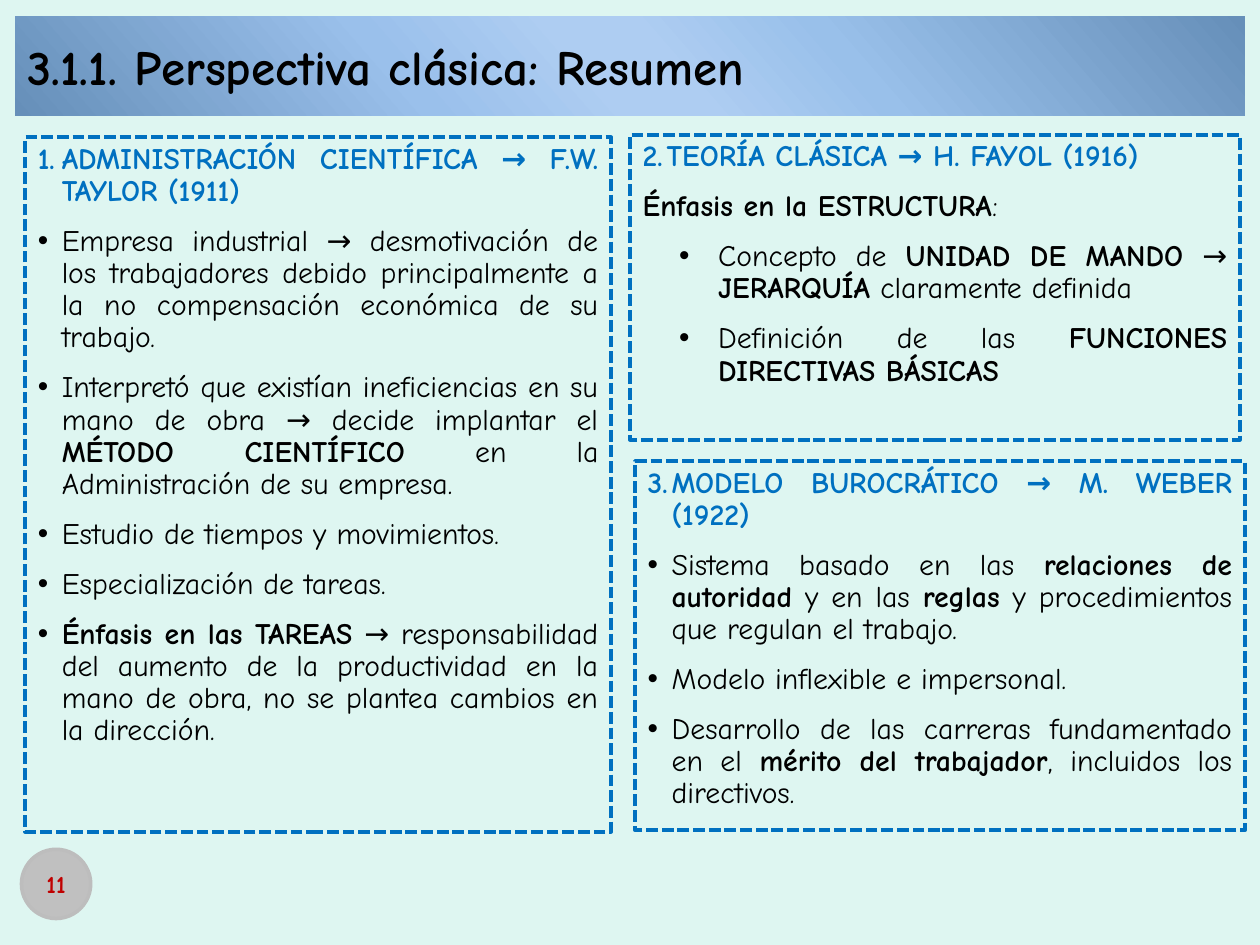
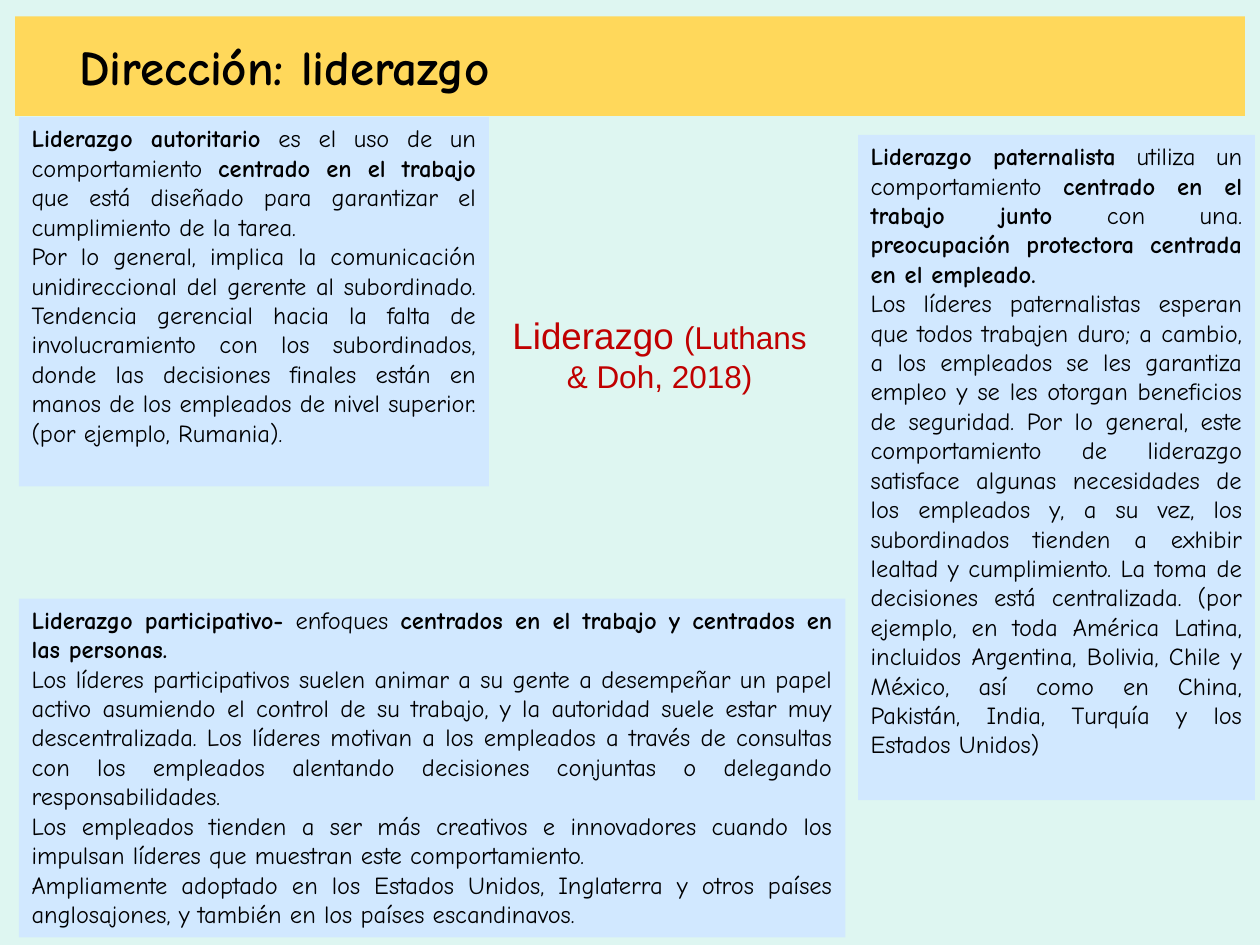
from lxml import etree
from pptx import Presentation
from pptx.dml.color import RGBColor
from pptx.enum.dml import MSO_LINE as Dash
from pptx.enum.shapes import MSO_SHAPE as Preset
from pptx.enum.text import MSO_ANCHOR as Anchor, MSO_AUTO_SIZE as AutoSize, PP_ALIGN as Align
from pptx.oxml.ns import qn
from pptx.util import Inches, Pt

COLORS = {
    "page": "DEF6F1",
    "ink": "000000",
    "blue": "0070C0",
    "red": "C00000",
    "card": "D1E8FF",
    "gold": "FFD85B",
    "badge": "C0C0C0",
    "badge_edge": "BDBDBD",
}
STEEL_STOPS = [(0, "668FB9"), (33, "99C0EA"), (47, "AECDF2"),
               (53, "AECDF2"), (68, "9AC0EB"), (100, "668FB9")]
STEEL_ANGLE = 139
COMPARISON_LAYOUT = 4


def rgb(name):
    return RGBColor.from_string(COLORS[name])


def write(frame, text, size=14, color="ink", font="Comic Neue", bold=False, align=Align.JUSTIFY,
          indent=0, hanging=0, leading=1.0, gap=0, bullet=None, number=None, join=False):
    paragraph = frame.paragraphs[-1]
    if not join:
        first = not paragraph.runs
        if not first:
            paragraph = frame.add_paragraph()
        paragraph.alignment = align
        paragraph.line_spacing = leading
        paragraph.space_before = Pt(0 if first else gap)
        paragraph.space_after = Pt(gap)
        properties = paragraph._p.get_or_add_pPr()
        properties.set("marL", str(Inches(indent)))
        properties.set("indent", str(Inches(-hanging)))
        if number:
            etree.SubElement(properties, qn("a:buFont"), typeface="+mj-lt")
            etree.SubElement(properties, qn("a:buAutoNum"), type="arabicPeriod", startAt=str(number))
        elif bullet:
            etree.SubElement(properties, qn("a:buFont"), typeface="Arial")
            etree.SubElement(properties, qn("a:buChar"), char=bullet)
        else:
            etree.SubElement(properties, qn("a:buNone"))
    for position, part in enumerate(text.split("**")):
        if part:
            run = paragraph.add_run()
            run.text = part
            run.font.name = font
            run.font.size = Pt(size)
            run.font.bold = bold or position % 2 == 1
            run.font.color.rgb = rgb(color)


class Deck:
    def __init__(self):
        self.presentation = Presentation()
        self.presentation.slide_width = Inches(10)
        self.presentation.slide_height = Inches(7.5)
        background = self.presentation.slide_master.background.fill
        background.solid()
        background.fore_color.rgb = rgb("page")

    def start(self, heading, band=None, inset=0.1):
        layout = self.presentation.slide_layouts[COMPARISON_LAYOUT]
        self.slide = self.presentation.slides.add_slide(layout)
        self.bodies = [holder for holder in self.slide.placeholders
                       if holder.placeholder_format.idx > 0]
        title = self.slide.shapes.title
        frame = self.place(title, (0.12, 0.13, 9.76, 0.79), Anchor.MIDDLE)
        frame.margin_left = Inches(inset)
        if band:
            title.fill.solid()
            title.fill.fore_color.rgb = rgb(band)
        else:
            self.steel(title)
        write(frame, heading, size=28, bold=True, align=Align.LEFT)

    def place(self, shape, box, anchor=Anchor.TOP):
        shape.left, shape.top, shape.width, shape.height = map(Inches, box)
        frame = shape.text_frame
        frame.word_wrap = True
        frame.auto_size = AutoSize.NONE
        frame.vertical_anchor = anchor
        return frame

    def steel(self, shape):
        shape.fill.gradient()
        gradient = shape._element.spPr.find(qn("a:gradFill"))
        for child in list(gradient):
            gradient.remove(child)
        stops = etree.SubElement(gradient, qn("a:gsLst"))
        for percent, value in STEEL_STOPS:
            stop = etree.SubElement(stops, qn("a:gs"), pos=str(percent * 1000))
            etree.SubElement(stop, qn("a:srgbClr"), val=value)
        etree.SubElement(gradient, qn("a:lin"), ang=str(STEEL_ANGLE * 60000), scaled="0")

    def theory(self, box, number, heading, points):
        panel = self.bodies.pop(0)
        frame = self.place(panel, box)
        panel.line.color.rgb = rgb("blue")
        panel.line.width = Pt(2.25)
        panel.line.dash_style = Dash.SQUARE_DOT
        common = dict(size=17, leading=0.9, gap=5.1)
        outline = dict(indent=0.19, hanging=0.19)
        write(frame, heading, color="blue", bold=True, number=number, **outline, **common)
        for text, layout in points:
            write(frame, text, **(outline | {"bullet": "•"} | layout), **common)

    def card(self, box, paragraphs):
        panel = self.bodies.pop(0)
        frame = self.place(panel, box)
        panel.fill.solid()
        panel.fill.fore_color.rgb = rgb("card")
        for text in paragraphs:
            write(frame, text)

    def label(self, box):
        frame = self.place(self.slide.shapes.add_textbox(0, 0, 0, 0), box, Anchor.MIDDLE)
        frame.margin_left = frame.margin_right = frame.margin_top = frame.margin_bottom = 0
        return frame

    def page_badge(self, number):
        badge = self.slide.shapes.add_shape(Preset.OVAL, 0, 0, 0, 0)
        badge.shadow.inherit = False
        badge.fill.solid()
        badge.fill.fore_color.rgb = rgb("badge")
        badge.line.color.rgb = rgb("badge_edge")
        badge.line.width = Pt(2)
        frame = self.place(badge, (0.17, 6.74, 0.55, 0.55), Anchor.MIDDLE)
        frame.margin_left = frame.margin_right = 0
        write(frame, number, color="red", bold=True, align=Align.CENTER)

    def finish(self):
        for holder in self.bodies:
            holder._element.getparent().remove(holder._element)
        self.bodies = []


def classical_summary(deck):
    plain = dict(indent=0, hanging=0, bullet=None)
    nested = dict(indent=0.6, hanging=0.31)
    deck.start("3.1.1. Perspectiva clásica: Resumen")
    deck.theory((0.2, 1.09, 4.65, 5.51), 1, "ADMINISTRACIÓN CIENTÍFICA → F.W. TAYLOR (1911)", [
        ("Empresa industrial → desmotivación de los trabajadores debido principalmente a la no "
         "compensación económica de su trabajo.", {}),
        ("Interpretó que existían ineficiencias en su mano de obra → decide implantar el "
         "**MÉTODO CIENTÍFICO** en la Administración de su empresa.", {}),
        ("Estudio de tiempos y movimientos.", {}),
        ("Especialización de tareas.", {}),
        ("**Énfasis en las TAREAS** → responsabilidad del aumento de la productividad en la mano "
         "de obra, no se plantea cambios en la dirección.", {}),
    ])
    deck.theory((5, 1.07, 4.84, 2.42), 2, "TEORÍA CLÁSICA → H. FAYOL (1916)", [
        ("**Énfasis en la ESTRUCTURA**:", plain),
        ("Concepto de **UNIDAD DE MANDO** → **JERARQUÍA** claramente definida", nested),
        ("Definición de las **FUNCIONES DIRECTIVAS BÁSICAS**", nested),
    ])
    deck.theory((5.04, 3.66, 4.84, 2.93), 3, "MODELO BUROCRÁTICO → M. WEBER (1922)", [
        ("Sistema basado en las **relaciones de autoridad** y en las **reglas** y procedimientos "
         "que regulan el trabajo.", {}),
        ("Modelo inflexible e impersonal.", {}),
        ("Desarrollo de las carreras fundamentado en el **mérito del trabajador**, incluidos los "
         "directivos.", {}),
    ])
    deck.page_badge("11")
    deck.finish()


def leadership_styles(deck):
    deck.start("Dirección: liderazgo", band="gold", inset=0.51)
    deck.card((0.15, 0.93, 3.73, 2.93), [
        "**Liderazgo autoritario** es el uso de un comportamiento **centrado en el trabajo** que "
        "está diseñado para garantizar el cumplimiento de la tarea.",
        "Por lo general, implica la comunicación unidireccional del gerente al subordinado. "
        "Tendencia gerencial hacia la falta de involucramiento con los subordinados, donde las "
        "decisiones finales están en manos de los empleados de nivel superior. (por ejemplo, "
        "Rumania).",
    ])
    deck.card((6.81, 1.07, 3.15, 5.28), [
        "**Liderazgo paternalista** utiliza un comportamiento **centrado en el trabajo junto** "
        "con una. **preocupación protectora centrada en el empleado.**",
        "Los líderes paternalistas esperan que todos trabajen duro; a cambio, a los empleados se "
        "les garantiza empleo y se les otorgan beneficios de seguridad. Por lo general, este "
        "comportamiento de liderazgo satisface algunas necesidades de los empleados y, a su vez, "
        "los subordinados tienden a exhibir lealtad y cumplimiento. La toma de decisiones está "
        "centralizada. (por ejemplo, en toda América Latina, incluidos Argentina, Bolivia, Chile "
        "y México, así como en China, Pakistán, India, Turquía y los Estados Unidos)",
    ])
    deck.card((0.15, 4.75, 6.56, 2.69), [
        "**Liderazgo participativo-** enfoques **centrados en el trabajo y centrados en las "
        "personas.**",
        "Los líderes participativos suelen animar a su gente a desempeñar un papel activo "
        "asumiendo el control de su trabajo, y la autoridad suele estar muy descentralizada. Los "
        "líderes motivan a los empleados a través de consultas con los empleados alentando "
        "decisiones conjuntas o delegando responsabilidades.",
        "Los empleados tienden a ser más creativos e innovadores cuando los impulsan líderes que "
        "muestran este comportamiento.",
        "Ampliamente adoptado en los Estados Unidos, Inglaterra y otros países anglosajones, y "
        "también en los países escandinavos.",
    ])
    topic = deck.label((3.98, 2.48, 2.51, 0.66))
    write(topic, "Liderazgo ", size=21, color="red", font="Arial", align=Align.CENTER)
    write(topic, "(Luthans & Doh, 2018)", size=18, color="red", font="Arial", join=True)
    deck.finish()


def main():
    deck = Deck()
    classical_summary(deck)
    leadership_styles(deck)
    deck.presentation.save("out.pptx")


if __name__ == "__main__":
    main()
